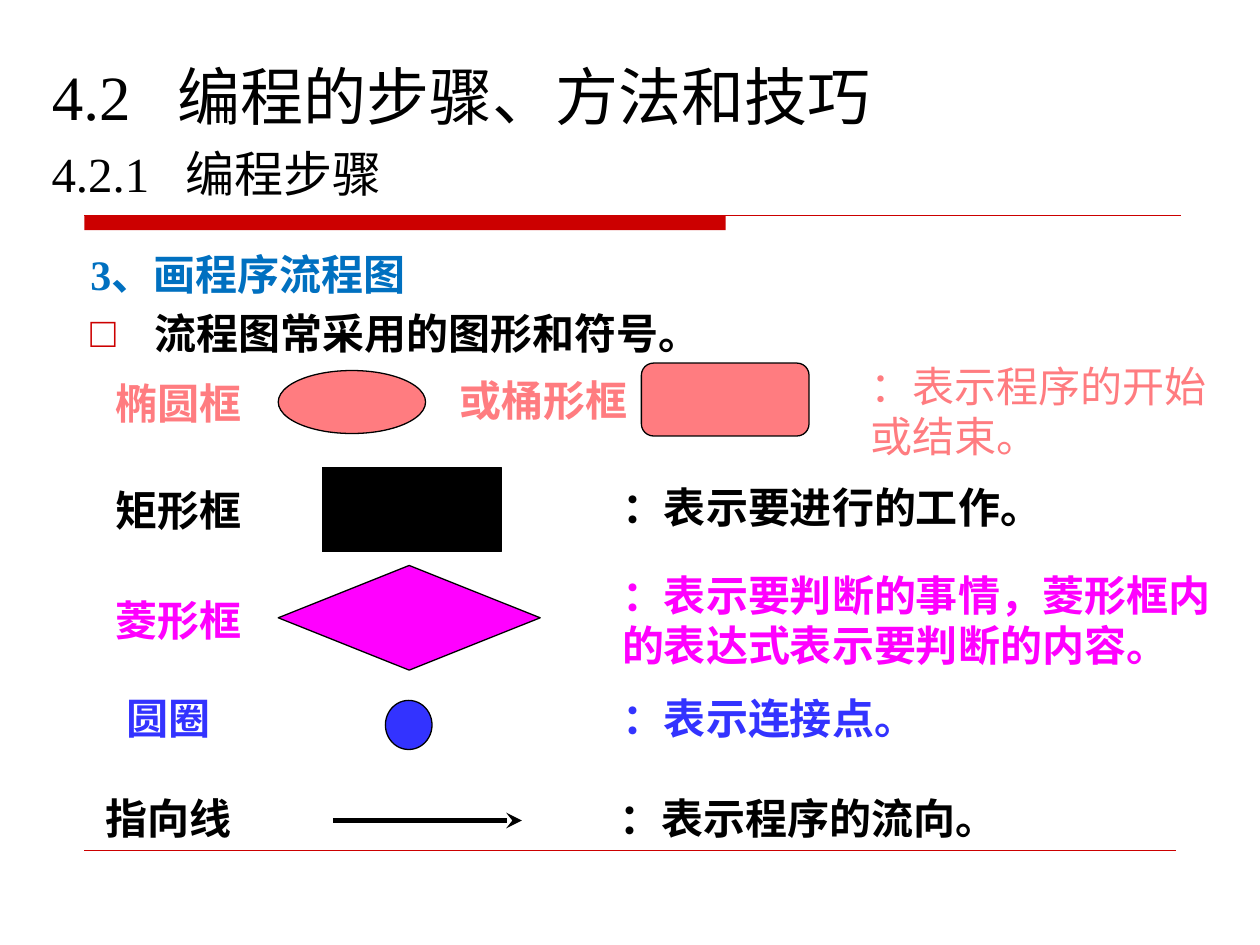
from lxml.etree import SubElement
from pptx import Presentation
from pptx.dml.color import RGBColor
from pptx.enum.shapes import MSO_CONNECTOR, MSO_SHAPE as Preset
from pptx.enum.text import MSO_ANCHOR as Anchor, MSO_AUTO_SIZE as AutoSize, PP_ALIGN as Align
from pptx.oxml.ns import qn
from pptx.util import Cm, Pt

COLORS = {"red": "CC0000", "black": "000000", "heading": "0070C0",
          "salmon": "FF7C80", "magenta": "FF00FF", "blue": "3333FF"}
SERIF = "Times New Roman"


def add_run(paragraph, text, size, color, bold=False, font=SERIF):
    run = paragraph.add_run()
    run.text = text
    run.font.name = font
    run.font.size = Pt(size)
    run.font.bold = bold
    run.font.color.rgb = RGBColor.from_string(COLORS[color])


def add_line(x1, x2, y, color, width):
    line = slide.shapes.add_connector(MSO_CONNECTOR.STRAIGHT, Cm(x1), Cm(y), Cm(x2), Cm(y))
    line.line.color.rgb = RGBColor.from_string(COLORS[color])
    line.line.width = Pt(width)
    SubElement(line._element.spPr, qn("a:effectLst"))
    return line


prs = Presentation()
prs.slide_width, prs.slide_height = Cm(25.4), Cm(19.05)
slide = prs.slides.add_slide(prs.slide_layouts[1])
title, body = slide.placeholders

# Red bar and rules
bar = slide.shapes.add_shape(Preset.RECTANGLE, Cm(1.7), Cm(4.34), Cm(12.93), Cm(0.3))
bar.shadow.inherit = False
bar.fill.solid()
bar.fill.fore_color.rgb = RGBColor.from_string(COLORS["red"])
bar.line.fill.background()
add_line(1.7, 23.8, 4.34, "red", 0.75)
add_line(1.7, 23.7, 17.15, "red", 0.25)

# Chapter title and section title, number and name set apart by a tab
section = slide.shapes.add_textbox(0, 0, 0, 0)
for heading, top, tab, number, name, size in [
    (title, 0.79, 2.54, "4.2", "编程的步骤、方法和技巧", 36),
    (section, 2.18, 2.7, "4.2.1", "编程步骤", 28),
]:
    heading.left, heading.top, heading.width, heading.height = Cm(0.79), Cm(top), Cm(22.23), Cm(2.03)
    frame = heading.text_frame
    frame.word_wrap = True
    frame.auto_size = AutoSize.NONE
    frame.vertical_anchor = Anchor.BOTTOM
    paragraph = frame.paragraphs[0]
    paragraph.alignment = Align.LEFT
    tabs = SubElement(paragraph._p.get_or_add_pPr(), qn("a:tabLst"))
    SubElement(tabs, qn("a:tab"), pos=str(Cm(tab)), algn="l")
    add_run(paragraph, f"{number}\t{name}", size, "black")

# Step heading and its bullet
body.left, body.top, body.width, body.height = Cm(1.57), Cm(4.88), Cm(22.33), Cm(11.86)
body.text_frame.auto_size = AutoSize.NONE
step = body.text_frame.paragraphs[0]
symbols = body.text_frame.add_paragraph()
for paragraph in (step, symbols):
    props = paragraph._p.get_or_add_pPr()
    props.set("marL", str(Cm(1.3)))
    props.set("indent", str(-Cm(1.3)))
step.alignment = Align.JUSTIFY
step.space_before = Pt(0)
SubElement(step._p.pPr, qn("a:buNone"))
add_run(step, "3、画程序流程图", 24, "heading", True)
symbols.space_before = Pt(5)
bullet_color = SubElement(symbols._p.pPr, qn("a:buClr"))
SubElement(bullet_color, qn("a:srgbClr"), val=COLORS["red"])
SubElement(symbols._p.pPr, qn("a:buChar"), char="□")
add_run(symbols, "流程图常采用的图形和符号。", 24, "black", True, "DejaVu Sans")

# Flowchart symbols
for preset, left, top, width, height, color in [
    (Preset.OVAL, 5.61, 7.47, 2.97, 1.27, "salmon"),
    (Preset.FLOWCHART_ALTERNATE_PROCESS, 12.93, 7.32, 3.38, 1.47, "salmon"),
    (Preset.FLOWCHART_PROCESS, 6.5, 9.42, 3.61, 1.7, "black"),
    (Preset.FLOWCHART_DECISION, 5.61, 11.4, 5.28, 2.11, "magenta"),
    (Preset.FLOWCHART_CONNECTOR, 7.77, 14.12, 0.94, 0.99, "blue"),
]:
    symbol = slide.shapes.add_shape(preset, Cm(left), Cm(top), Cm(width), Cm(height))
    symbol.shadow.inherit = False
    symbol.fill.solid()
    symbol.fill.fore_color.rgb = RGBColor.from_string(COLORS[color])
    symbol.line.color.rgb = RGBColor.from_string(COLORS["black"])
    symbol.line.width = Pt(0.75)

flow_arrow = add_line(6.71, 10.52, 16.54, "black", 3)
SubElement(flow_arrow.line._get_or_add_ln(), qn("a:tailEnd"), type="stealth")

# Symbol names and meanings; the tall boxes wrap
for text, left, top, width, height, color, bold in [
    ("椭圆框", 2.08, 7.49, 3.07, 1.27, "salmon", True),
    ("或桶形框", 9.02, 7.42, 3.94, 1.27, "salmon", True),
    ("：表示程序的开始或结束。", 17.3, 7.14, 7.62, 2.31, "salmon", False),
    ("矩形框", 2.08, 9.65, 3.07, 1.27, "black", True),
    ("：表示要进行的工作。", 12.29, 9.58, 9.04, 1.27, "black", True),
    ("菱形框", 2.08, 11.86, 3.07, 1.27, "magenta", True),
    ("：表示要判断的事情，菱形框内的表达式表示要判断的内容。",
     12.29, 11.35, 13.13, 2.29, "magenta", True),
    ("圆圈", 2.31, 13.84, 2.24, 1.27, "blue", True),
    ("：表示连接点。", 12.29, 13.84, 6.53, 1.27, "blue", True),
    ("指向线", 1.88, 15.85, 3.05, 1.27, "black", True),
    ("：表示程序的流向。", 12.24, 15.85, 8.26, 1.27, "black", True),
]:
    label = slide.shapes.add_textbox(Cm(left), Cm(top), Cm(width), Cm(height))
    label.text_frame.word_wrap = height > 2
    label.text_frame.auto_size = AutoSize.SHAPE_TO_FIT_TEXT
    add_run(label.text_frame.paragraphs[0], text, 24, color, bold)

prs.save("out.pptx")
